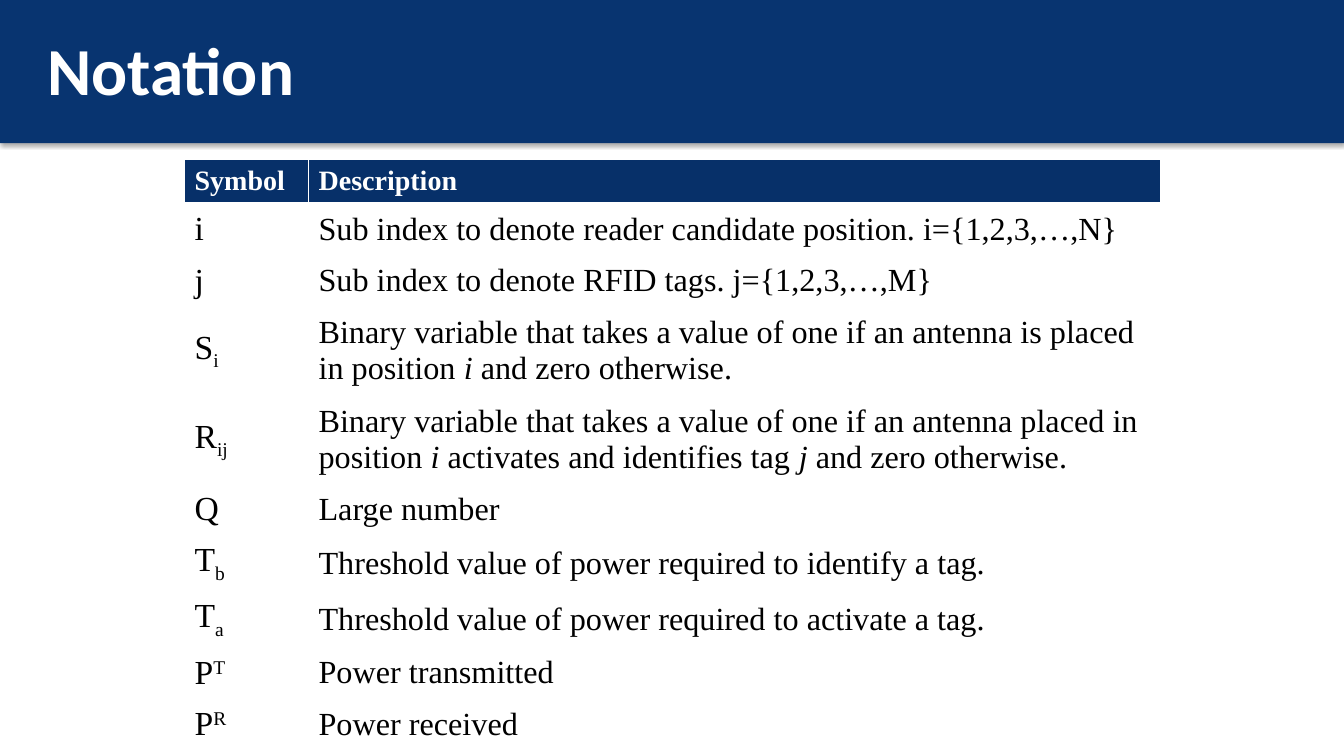
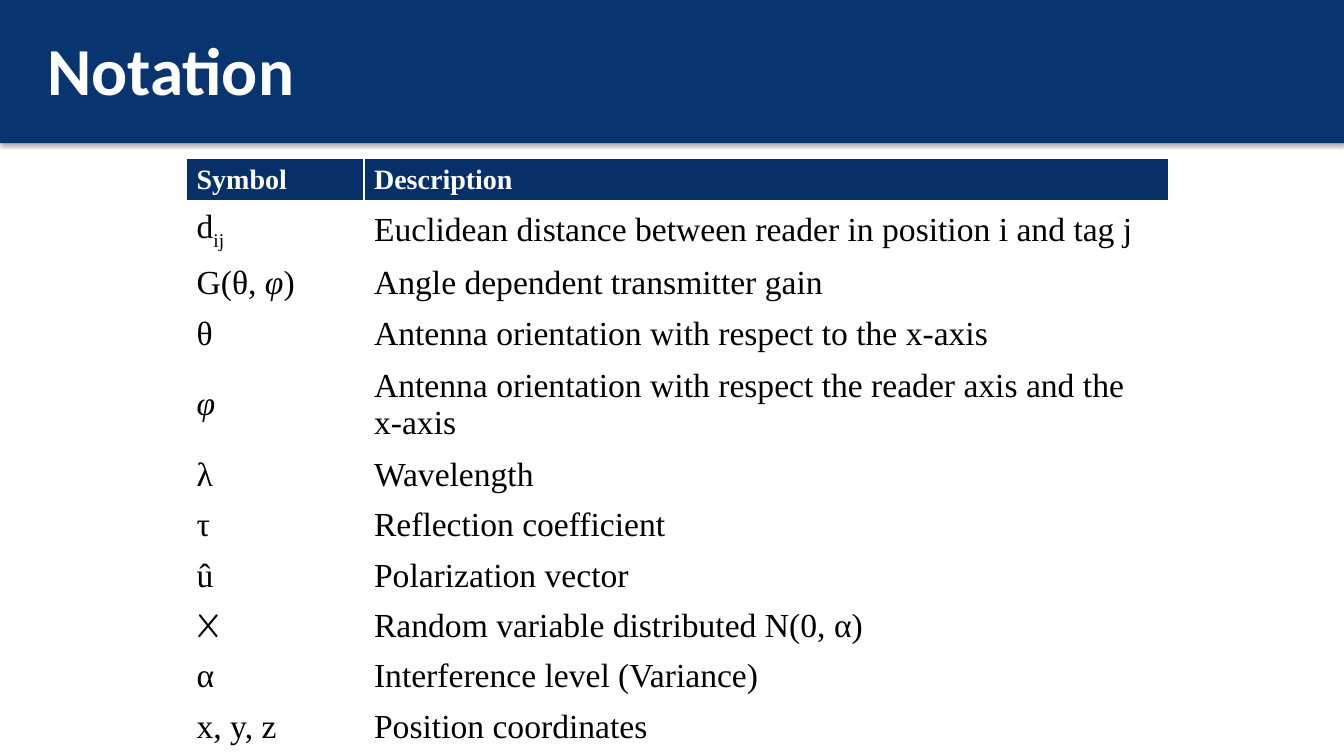
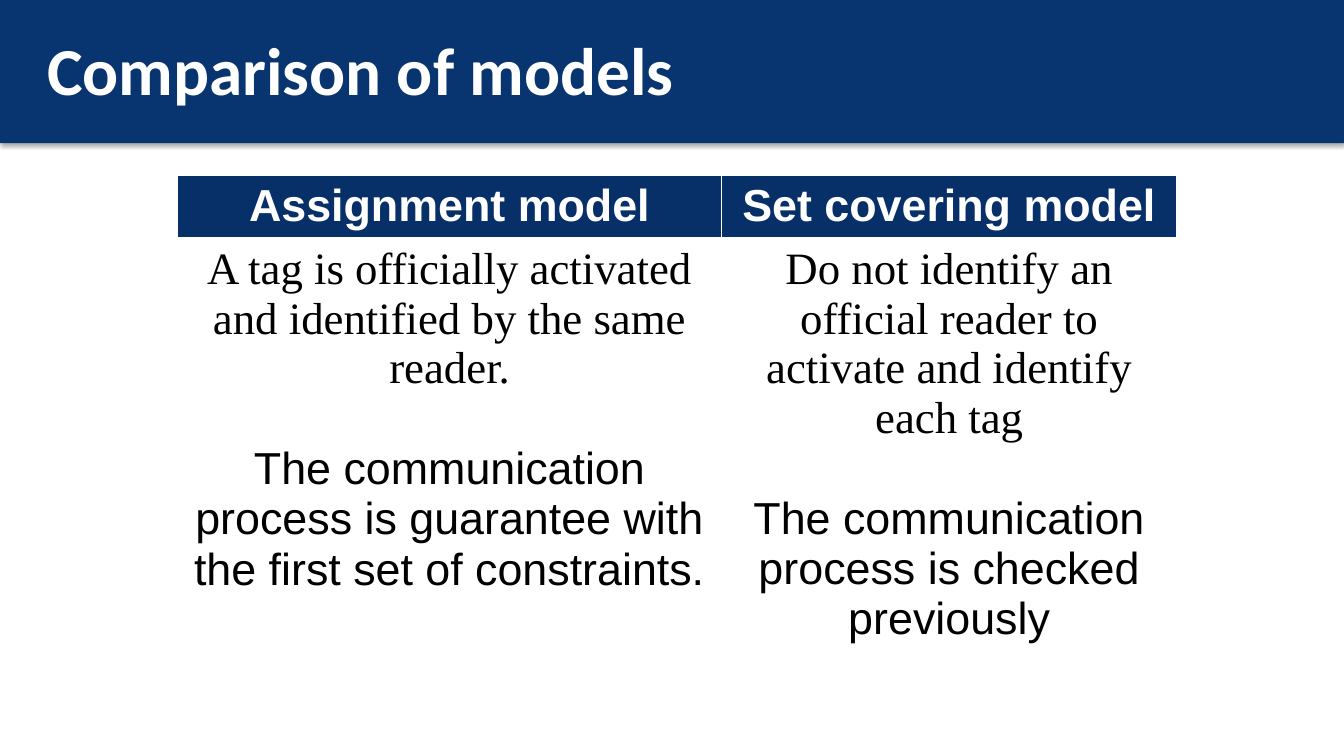
from lxml import etree
from pptx import Presentation
from pptx import util as u
from pptx.dml.color import RGBColor
from pptx.enum import shapes, text
from pptx.oxml import ns

NAVY, HEADER, WHITE, BLACK = "083470", "073069", "FFFFFF", "000000"
SERIF, SANS, TITLE_FONT = "Times New Roman", "Arial", "Calibri"
SLIDE_WIDTH, SLIDE_HEIGHT = 13.33, 7.5
BAND_HEIGHT = 1.42
ITALIC = {"italic": True}
SUB = {"baseline": -25}
SUP = {"baseline": 30}


def color(value):
    return RGBColor.from_string(value)


def child(parent, tag, **attributes):
    element = etree.SubElement(parent, ns.qn(tag))
    for key, value in attributes.items():
        element.set(key, str(value))
    return element


def add_run(paragraph, words, size, font=SERIF, ink=BLACK, bold=False, italic=False, baseline=0):
    run = paragraph.add_run()
    run.text = words
    run.font.size = u.Pt(size)
    run.font.name = font
    run.font.bold = bold
    run.font.italic = italic
    run.font.color.rgb = color(ink)
    if baseline:
        run._r.get_or_add_rPr().set("baseline", str(baseline * 1000))


def add_title_band(slide, title):
    band = slide.shapes.add_shape(
        shapes.MSO_SHAPE.RECTANGLE, 0, 0, u.Inches(SLIDE_WIDTH), u.Inches(BAND_HEIGHT))
    band.shadow.inherit = False
    band.fill.solid()
    band.fill.fore_color.rgb = color(NAVY)
    band.line.fill.background()
    effects = band._element.spPr.find(ns.qn("a:effectLst"))
    shadow = child(effects, "a:outerShdw", blurRad=u.Pt(3.1), dist=u.Pt(1.8),
                   dir=5400000, algn="t", rotWithShape=0)
    child(child(shadow, "a:srgbClr", val=BLACK), "a:alpha", val=35000)

    heading = slide.shapes.add_textbox(
        u.Inches(0.37), u.Inches(0.06), u.Inches(10.96), u.Inches(1.25)).text_frame
    heading.word_wrap = True
    heading.vertical_anchor = text.MSO_ANCHOR.MIDDLE
    add_run(heading.paragraphs[0], title, 48, TITLE_FONT, WHITE, bold=True)


def set_borders(cell, top, bottom):
    properties = cell._tc.get_or_add_tcPr()
    widths = {"a:lnL": 1, "a:lnR": 1, "a:lnT": top, "a:lnB": bottom}
    for position, (side, width) in enumerate(widths.items()):
        line = etree.Element(ns.qn(side), w=str(u.Pt(width)))
        child(child(line, "a:solidFill"), "a:srgbClr", val=WHITE)
        properties.insert(position, line)


def fill_cell(cell, paragraphs, style, anchor, align, gap):
    cell.vertical_anchor = anchor
    cell.margin_left = cell.margin_right = u.Inches(0.1)
    cell.margin_top = cell.margin_bottom = u.Inches(0.05)
    for index, runs in enumerate(paragraphs):
        frame = cell.text_frame
        paragraph = frame.add_paragraph() if index else frame.paragraphs[0]
        paragraph.alignment = align
        if index:
            paragraph.space_before = u.Pt(gap)
        for words, changes in runs:
            add_run(paragraph, words, **{**style, **changes})


def add_grid(slide, left, top, widths, heights, headings, rows, heading_style, sizes,
             anchor=text.MSO_ANCHOR.MIDDLE, align=text.PP_ALIGN.LEFT, gap=0, body_fill=None):
    grid = slide.shapes.add_table(
        len(heights), len(widths), u.Inches(left), u.Inches(top),
        u.Inches(sum(widths)), u.Inches(sum(heights))).table
    grid.horz_banding = False
    for column, width in zip(grid.columns, widths):
        column.width = u.Inches(width)
    for row, height in zip(grid.rows, heights):
        row.height = u.Inches(height)
    heading_row = [[[(heading, {})]] for heading in headings]
    for r, contents in enumerate([heading_row, *rows]):
        for c, paragraphs in enumerate(contents):
            cell = grid.cell(r, c)
            style = {"size": sizes[c]} if r else heading_style
            fill_cell(cell, paragraphs, style, anchor, align, gap)
            fill = body_fill if r else HEADER
            if fill:
                cell.fill.solid()
                cell.fill.fore_color.rgb = color(fill)
            else:
                cell.fill.background()
            set_borders(cell, 3 if r == 1 else 1, 1 if r else 3)


def runs_of(content):
    return [(content, {})] if isinstance(content, str) else content


def add_notation_slide(deck, left, top, widths, heading_height, row_height, tall_height,
                       tall_symbols, sizes, entries):
    slide = deck.slides.add_slide(deck.slide_layouts[6])
    add_title_band(slide, "Notation")
    rows = [[[runs_of(part)] for part in entry] for entry in entries]
    heights = [heading_height] + [
        tall_height if number in tall_symbols else row_height
        for number in range(len(entries))]
    add_grid(slide, left, top, widths, heights, ["Symbol", "Description"], rows,
             {"size": 20, "ink": WHITE, "bold": True}, sizes)


def add_comparison_slide(deck, left, top, models):
    slide = deck.slides.add_slide(deck.slide_layouts[6])
    add_title_band(slide, "Comparison of models")
    body = [[[(assignment, {})], [(communication, {"font": SANS})]]
            for assignment, communication in models.values()]
    add_grid(slide, left, top, [5.4, 4.51], [0.63, 4.9], list(models), [body],
             {"size": 32, "font": SANS, "ink": WHITE, "bold": True}, [32, 32],
             text.MSO_ANCHOR.TOP, text.PP_ALIGN.CENTER, 36, WHITE)


POWER_ENTRIES = [
    ("i", "Sub index to denote reader candidate position. i={1,2,3,…,N}"),
    ("j", "Sub index to denote RFID tags. j={1,2,3,…,M}"),
    ([("S", {}), ("i", SUB)],
     [("Binary variable that takes a value of one if an antenna is placed in position ", {}),
      ("i", ITALIC), (" and zero otherwise.", {})]),
    ([("R", {}), ("ij", SUB)],
     [("Binary variable that takes a value of one if an antenna placed in position", {}),
      (" i", ITALIC), (" activates and identifies tag", {}),
      (" j", ITALIC), (" and zero otherwise.", {})]),
    ("Q", "Large number"),
    ([("T", {}), ("b", SUB)], "Threshold value of power required to identify a tag."),
    ([("T", {}), ("a", SUB)], "Threshold value of power required to activate a tag."),
    ([("P", {}), ("T", SUP)], "Power transmitted"),
    ([("P", {}), ("R", SUP)], "Power received"),
]

ANTENNA_ENTRIES = [
    ([("d", {}), ("ij", SUB)], "Euclidean distance between reader in position i and tag j"),
    ([("G(θ,", {}), (" φ", ITALIC), (")", {})], "Angle dependent transmitter gain"),
    ("θ", "Antenna orientation with respect to the x-axis"),
    ([("φ", ITALIC)], "Antenna orientation with respect the reader axis and the x-axis"),
    ("λ", "Wavelength"),
    ("τ", "Reflection coefficient"),
    ("û", "Polarization vector"),
    ([("X", {"font": "Comic Neue"})], "Random variable distributed N(0, α)"),
    ("α", "Interference level (Variance)"),
    ("x, y, z", "Position coordinates"),
]

MODELS = {
    "Assignment model": (
        "A tag is officially activated and identified by the same reader.",
        "The communication process is guarantee with the first set of constraints."),
    "Set covering model": (
        "Do not identify an official reader to activate and identify each tag",
        "The communication process is checked previously"),
}


def main():
    deck = Presentation()
    deck.slide_width = u.Inches(SLIDE_WIDTH)
    deck.slide_height = u.Inches(SLIDE_HEIGHT)
    add_notation_slide(deck, 1.83, 1.58, [1.23, 8.45], 0.44, 0.51, 0.88, {2, 3},
                       [24, 23], POWER_ENTRIES)
    add_notation_slide(deck, 1.85, 1.57, [1.76, 7.98], 0.43, 0.5, 0.9, {3},
                       [24, 24], ANTENNA_ENTRIES)
    add_comparison_slide(deck, 1.76, 1.74, MODELS)
    deck.save("out.pptx")


if __name__ == "__main__":
    main()
